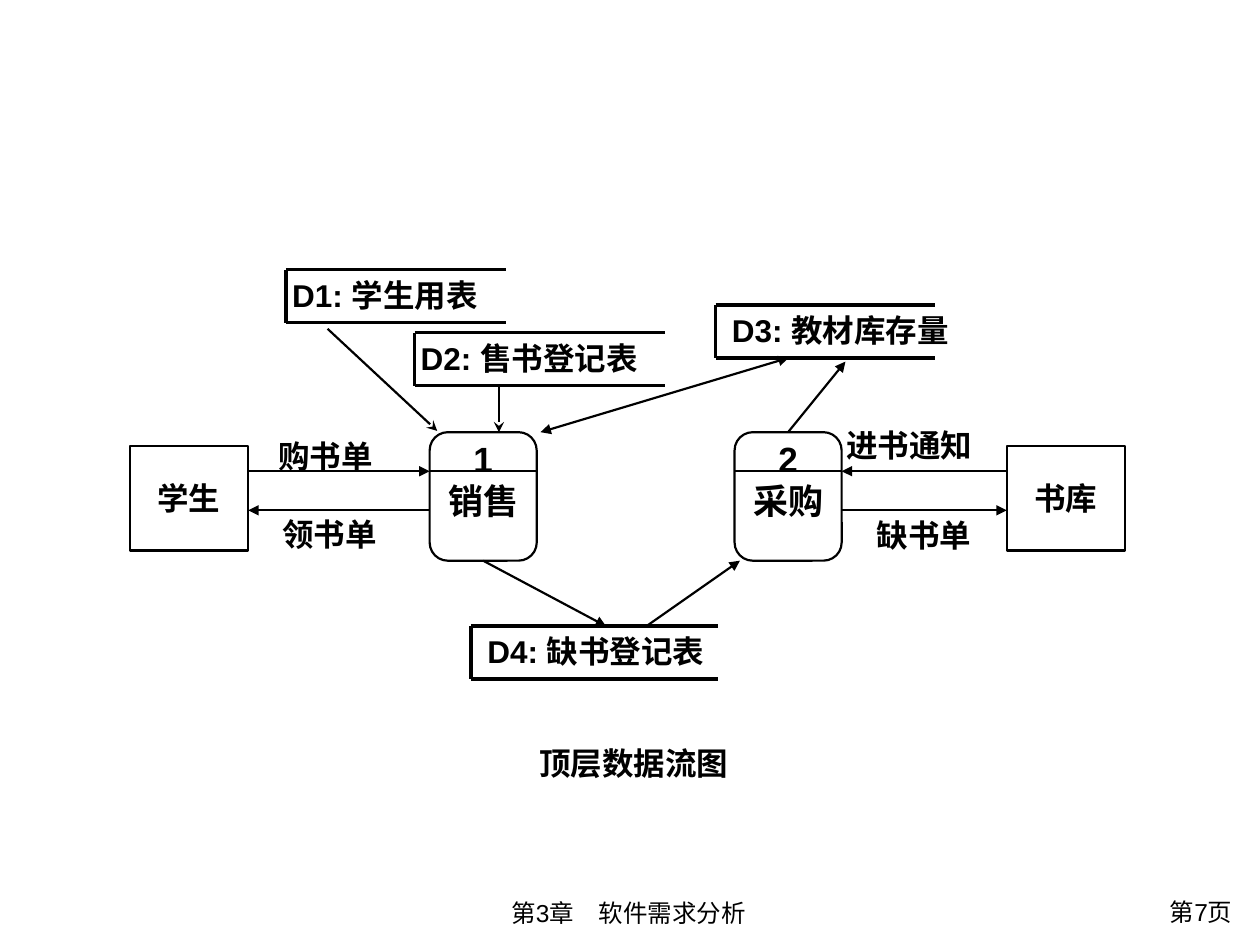
import collections

import lxml.etree
import pptx
import pptx.dml.color
import pptx.enum.shapes
import pptx.enum.text
import pptx.oxml.ns
import pptx.util

SHAPE = pptx.enum.shapes.MSO_SHAPE
ALIGN = pptx.enum.text.PP_ALIGN
ANCHOR = pptx.enum.text.MSO_ANCHOR

COLS, ROWS = 100, 75
BLACK, WHITE = "000000", "FFFFFF"
THIN, THICK = 1.25, 2
REQUEST_ROW, REPLY_ROW = 37.4, 40.5

prs = pptx.Presentation()
prs.slide_width = pptx.util.Inches(10)
prs.slide_height = pptx.util.Inches(7.5)
s = prs.slides.add_slide(prs.slide_layouts[6])


class Box(collections.namedtuple("Box", "x y w h")):
    """A box in grid columns and rows."""

    def at(self, across, down):
        return self.x + across * self.w, self.y + down * self.h


def emu(*cells):
    """Turn alternating columns and rows into slide lengths."""
    units = (prs.slide_width / COLS, prs.slide_height / ROWS)
    return [round(c * units[i % 2]) for i, c in enumerate(cells)]


def rgb(value):
    return pptx.dml.color.RGBColor.from_string(value)


def write(sp, lines, size=18, bold=True, align=ALIGN.LEFT, **frame):
    tf = sp.text_frame
    for name, value in {"word_wrap": True, **frame}.items():
        setattr(tf, name, value)
    for i, line in enumerate(lines):
        p = tf.add_paragraph() if i else tf.paragraphs[0]
        p.text = line
        p.alignment = align
        font = {"name": "Arial", "size": pptx.util.Pt(size), "bold": bold}
        for name, value in font.items():
            setattr(p.font, name, value)
        p.font.color.rgb = rgb(BLACK)


def label(box, text, **style):
    write(s.shapes.add_textbox(*emu(*box)), [text], **style)


def line(start, end, width=THIN, **ends):
    """Draw a line; ends gives arrowhead types as headEnd or tailEnd."""
    c = s.shapes.add_connector(
        pptx.enum.shapes.MSO_CONNECTOR.STRAIGHT, *emu(*start, *end))
    c.line.color.rgb = rgb(BLACK)
    c.line.width = pptx.util.Pt(width)
    ln = c.line._get_or_add_ln()
    for tag in ("headEnd", "tailEnd"):
        if tag in ends:
            lxml.etree.SubElement(
                ln, pptx.oxml.ns.qn("a:" + tag), type=ends[tag])
    lxml.etree.SubElement(
        c._element.spPr, pptx.oxml.ns.qn("a:effectLst"))


def outlined(kind, box):
    sp = s.shapes.add_shape(kind, *emu(*box))
    sp.shadow.inherit = False
    sp.fill.solid()
    sp.fill.fore_color.rgb = rgb(WHITE)
    sp.line.color.rgb = rgb(BLACK)
    sp.line.width = pptx.util.Pt(THIN)
    return sp


def entity(box, name):
    write(outlined(SHAPE.RECTANGLE, box), [name], align=ALIGN.CENTER,
          word_wrap=False, vertical_anchor=ANCHOR.MIDDLE)


def process(box, number, name):
    """Rounded box with its number above a dividing line."""
    sp = outlined(SHAPE.ROUNDED_RECTANGLE, box)
    sp.adjustments[0] = 0.17
    write(sp, [number, name], size=20, align=ALIGN.CENTER, word_wrap=False,
          vertical_anchor=ANCHOR.TOP, margin_top=0)
    line((box.x, REQUEST_ROW), (box.x + box.w, REQUEST_ROW))


def store(box, name, indent):
    """Data store, open on the right."""
    for start, end in (((0, 0), (1, 0)), ((0, 0), (0, 1)), ((0, 1), (1, 1))):
        line(box.at(*start), box.at(*end), THICK)
    label(Box(box.x + indent, box.y, box.w + 5, 4), name)


def exchange(left, right, rightward_row, leftward_row):
    """A pair of opposite flows between two columns."""
    line((left, rightward_row), (right, rightward_row), tailEnd="triangle")
    line((right, leftward_row), (left, leftward_row), tailEnd="triangle")


def diagram():
    student, library = (Box(x, 35.4, 9.4, 8.3) for x in (10.3, 79.9))
    sales, buying = (Box(x, 34.3, 8.5, 10.2) for x in (34.1, 58.3))
    users = Box(22.7, 21.4, 17.5, 4.2)
    sold = Box(32.9, 26.4, 19.9, 4.2)
    stock = Box(56.8, 24.2, 17.4, 4.2)
    missing = Box(37.4, 49.7, 19.6, 4.2)

    entity(student, "学生")
    entity(library, "书库")
    process(sales, "1", "销售")
    process(buying, "2", "采购")
    store(users, "D1: 学生用表", -0.5)
    store(sold, "D2: 售书登记表", -0.5)
    store(stock, "D3: 教材库存量", 0.3)
    store(missing, "D4: 缺书登记表", 0.3)

    exchange(student.x + student.w, sales.x, REQUEST_ROW, REPLY_ROW)
    exchange(buying.x + buying.w, library.x, REPLY_ROW, REQUEST_ROW)
    for x, y, w, text in ((21.1, 34.2, 12, "购书单"),
                          (21.4, 40.4, 12, "领书单"),
                          (66.2, 33.3, 13.4, "进书通知"),
                          (68.6, 40.5, 12, "缺书单"),
                          (41.8, 58.6, 19.1, "顶层数据流图")):
        label(Box(x, y, w, 4), text)

    line((26, 26.1), (34.7, 34.2), tailEnd="stealth")
    line((39.6, sold.y + sold.h), (39.6, sales.y), tailEnd="stealth")
    line((42.9, sales.y), (62.6, stock.y + stock.h),
         headEnd="triangle", tailEnd="triangle")
    line(buying.at(0.5, 0), (67.1, 28.7), tailEnd="triangle")
    line(sales.at(0.5, 1), (48.1, missing.y), tailEnd="triangle")
    line((51.3, missing.y), buying.at(0.05, 1), tailEnd="triangle")


def footer():
    label(Box(23.5, 70.8, 52.8, 3.4), "第3章　软件需求分析",
          size=14, bold=False, align=ALIGN.CENTER)
    label(Box(85.4, 70.7, 13.4, 3.7), "第7页",
          size=14, bold=False, align=ALIGN.RIGHT)


diagram()
footer()
prs.save("out.pptx")
